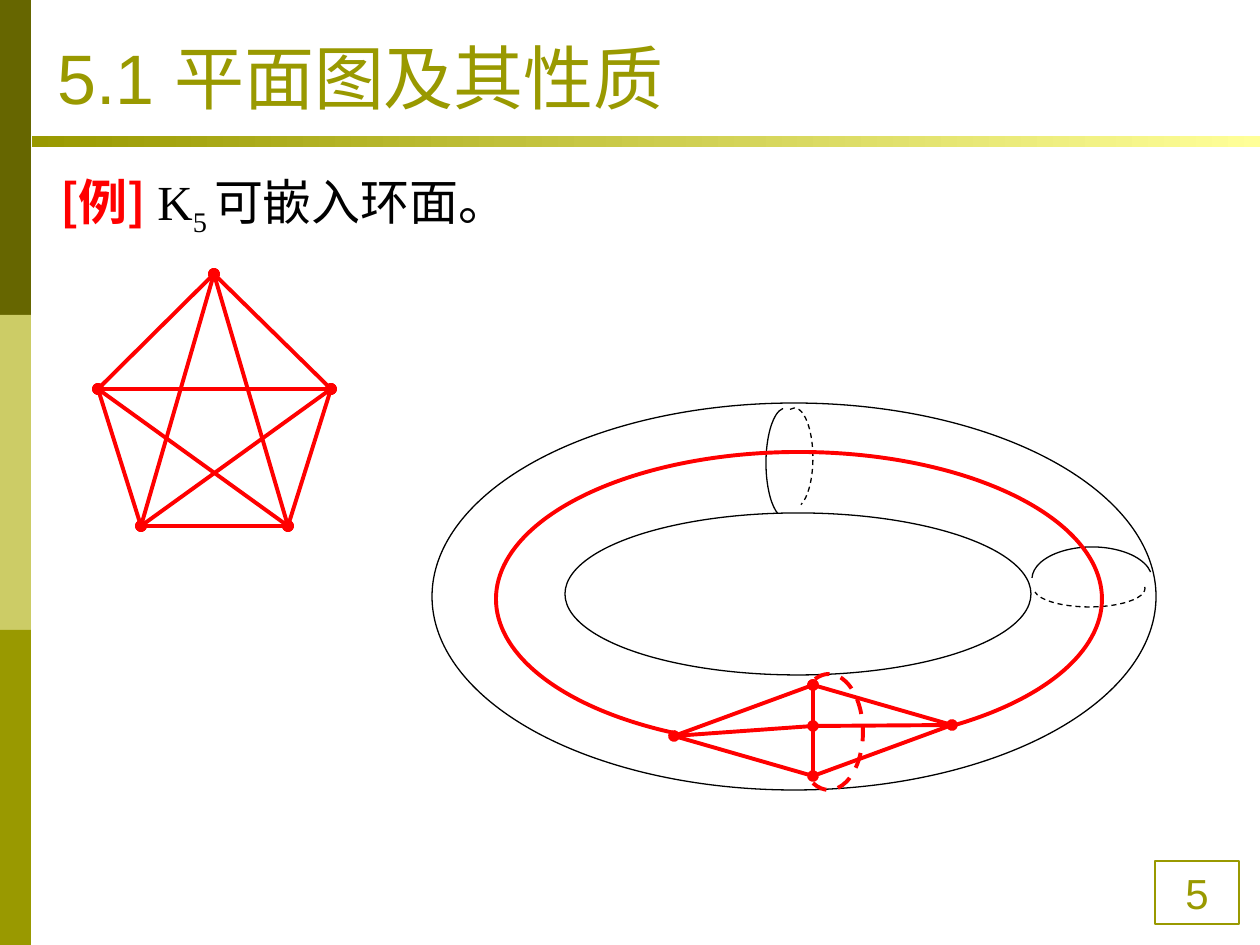
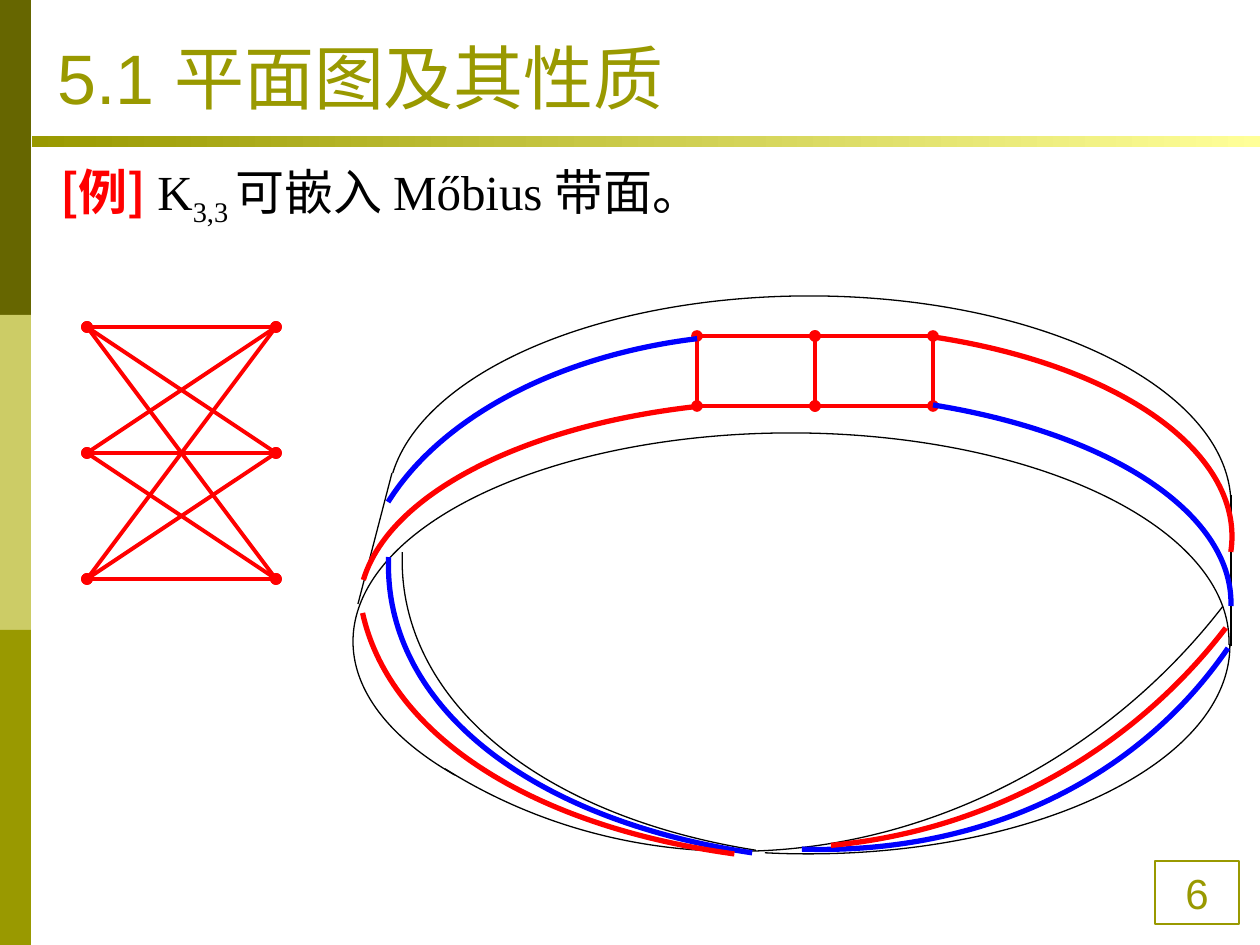
import itertools
import math
from dataclasses import dataclass

import lxml.etree
import pptx
import pptx.dml.color
import pptx.enum.dml
import pptx.enum.shapes
import pptx.enum.text
import pptx.oxml.ns
import pptx.util

SCALE = 914400 / 126  # EMU in one px
ANGLE_UNIT = 0.6  # adjustment value of one degree
SHAPES = pptx.enum.shapes.MSO_SHAPE


@dataclass(frozen=True)
class Theme:
    olive: str = "999900"
    dark_olive: str = "666600"
    light_olive: str = "CCCC66"
    pale_yellow: str = "FFFF99"
    red: str = "FF0000"
    blue: str = "0000FF"
    black: str = "000000"
    white: str = "FFFFFF"
    title_size: int = 40
    body_size: int = 28
    number_size: int = 24
    sans: str = "Arial"
    serif: str = "Times New Roman"
    chinese: str = "Noto Sans CJK SC"
    thin: float = 0.75
    edge: float = 2.25
    thick: float = 3


THEME = Theme()


def px(length):
    return pptx.util.Emu(round(length * SCALE))


def rgb(color):
    return pptx.dml.color.RGBColor.from_string(color)


def format_run(run, size, color, font, bold=False):
    """Set size, colour and the Latin and East Asian typefaces of a run."""
    run.font.size = pptx.util.Pt(size)
    run.font.bold = bold
    run.font.color.rgb = rgb(color)
    run.font.name = font
    latin = run.font._element.find(pptx.oxml.ns.qn("a:latin"))
    east_asian = lxml.etree.Element(pptx.oxml.ns.qn("a:ea"), typeface=THEME.chinese)
    latin.addnext(east_asian)


def style_line(line, color, width, dashed=False):
    line.color.rgb = rgb(color)
    line.width = pptx.util.Pt(width)
    if dashed:
        line.dash_style = pptx.enum.dml.MSO_LINE.DASH


def add_preset(slide, kind, box, fill=None, outline=None):
    shape = slide.shapes.add_shape(kind, *map(px, box))
    shape.shadow.inherit = False
    if fill:
        shape.fill.solid()
        shape.fill.fore_color.rgb = rgb(fill)
    else:
        shape.fill.background()
    if outline:
        style_line(shape.line, outline, THEME.thin)
    else:
        shape.line.fill.background()
    return shape


def add_line(slide, start, end, color=THEME.red, width=THEME.edge, dots=True):
    """Draw a straight line, with round vertices at both ends if dots is set."""
    connector = slide.shapes.add_connector(
        pptx.enum.shapes.MSO_CONNECTOR.STRAIGHT, *map(px, (*start, *end)))
    style_line(connector.line, color, width)
    if dots:
        line_element = connector.line._get_or_add_ln()
        for tag in ("a:headEnd", "a:tailEnd"):
            lxml.etree.SubElement(line_element, pptx.oxml.ns.qn(tag), type="oval")
    lxml.etree.SubElement(connector._element.spPr, pptx.oxml.ns.qn("a:effectLst"))


def add_arc(slide, box, start, end, rotation=0,
            color=THEME.black, width=THEME.thin, dashed=False):
    """Draw the part of the ellipse in box that runs clockwise from start to end."""
    left, top, box_width, box_height = box
    arc = add_preset(slide, SHAPES.ARC, box)
    arc.rotation = rotation
    for index, (x, y) in enumerate((start, end)):
        direction = math.atan2(y - top - box_height / 2, x - left - box_width / 2)
        angle = (math.degrees(direction) - rotation + 180) % 360 - 180
        arc.adjustments[index] = angle % 360 * ANGLE_UNIT
    style_line(arc.line, color, width, dashed)


def add_bands(slide):
    for row, color in enumerate((THEME.dark_olive, THEME.light_olive, THEME.olive)):
        add_preset(slide, SHAPES.RECTANGLE, (0, 315 * row, 31, 315), color)
    rule = add_preset(slide, SHAPES.RECTANGLE, (32, 136, 1228, 11))
    rule.fill.gradient()
    rule.fill.gradient_angle = 0
    for stop, color in zip(rule.fill.gradient_stops, (THEME.olive, THEME.pale_yellow)):
        stop.color.rgb = rgb(color)


def add_slide_number(slide, number):
    box = add_preset(slide, SHAPES.RECTANGLE, (1155, 861, 84, 63), outline=THEME.olive)
    box.text_frame.text = str(number)
    box.text_frame.vertical_anchor = pptx.enum.text.MSO_ANCHOR.MIDDLE
    paragraph = box.text_frame.paragraphs[0]
    paragraph.alignment = pptx.enum.text.PP_ALIGN.CENTER
    format_run(paragraph.runs[0], THEME.number_size, THEME.olive, THEME.sans)


def add_title(slide, text):
    title = slide.shapes.title
    title.left, title.top, title.width, title.height = map(px, (45, 17, 1134, 108))
    title.text_frame.text = text
    title.text_frame.vertical_anchor = pptx.enum.text.MSO_ANCHOR.BOTTOM
    paragraph = title.text_frame.paragraphs[0]
    paragraph.alignment = pptx.enum.text.PP_ALIGN.LEFT
    format_run(paragraph.runs[0], THEME.title_size, THEME.olive, THEME.sans)


def add_example(slide, top, subscript, statement):
    """Write the example line: a red label, K with its subscript, the statement."""
    box = slide.shapes.add_textbox(*map(px, (48, top, 1181, 79)))
    box.text_frame.word_wrap = True
    paragraph = box.text_frame.paragraphs[0]
    for text in ("[例] ", "K", subscript + " ", statement):
        paragraph.add_run().text = text
    label, *formula = paragraph.runs
    format_run(label, THEME.body_size, THEME.red, THEME.chinese, bold=True)
    for run in formula:
        format_run(run, THEME.body_size, THEME.black, THEME.serif)
    formula[1].font._element.set("baseline", "-25000")


def add_base_slide(presentation, number):
    slide = presentation.slides.add_slide(presentation.slide_layouts[5])
    add_bands(slide)
    add_slide_number(slide, number)
    add_title(slide, "5.1 平面图及其性质")
    return slide


def draw_complete_graph(slide):
    vertices = ((214, 274), (98, 389), (141, 526), (288, 526), (331, 389))
    for start, end in itertools.combinations(vertices, 2):
        add_line(slide, start, end)


def draw_torus(slide):
    add_preset(slide, SHAPES.OVAL, (432, 403, 724, 387), THEME.white, THEME.black)
    add_arc(slide, (766, 408, 39, 110), (793, 513), (783, 408))
    add_arc(slide, (776, 408, 37, 100), (790, 408), (801, 504), dashed=True)
    add_preset(slide, SHAPES.OVAL, (565, 513, 466, 162), THEME.white, THEME.black)
    add_arc(slide, (1032, 547, 120, 64), (1032, 578), (1151, 572))
    add_arc(slide, (1034, 570, 111, 37), (1146, 587), (1037, 592), dashed=True)


def draw_graph_on_torus(slide):
    left, right, center = (674, 736), (952, 725), (813, 726)
    top, bottom = (813, 685), (813, 776)
    for start, end in ((right, bottom), (top, left), (center, top)):
        add_line(slide, start, end)
    for start, end in ((top, right), (left, bottom), (left, center),
                       (center, right), (center, bottom)):
        add_line(slide, start, end, dots=False)
    add_arc(slide, (496, 452, 606, 294), (672, 733), (952, 725),
            color=THEME.red, width=THEME.edge)
    add_arc(slide, (795, 674, 68, 116), (815, 679), (813, 783),
            color=THEME.red, width=THEME.edge, dashed=True)


def draw_bipartite_graph(slide):
    rows = (327, 453, 579)
    for left_row, right_row in itertools.product(rows, rows):
        add_line(slide, (87, left_row), (276, right_row))


def draw_mobius_band(slide):
    add_arc(slide, (388, 296, 843, 417), (393, 473), (1231, 505))
    add_arc(slide, (353, 433, 876, 417), (453, 776), (1228, 645))
    for start, end in (((392, 473), (358, 604)), ((1231, 495), (1231, 646))):
        add_line(slide, start, end, THEME.black, THEME.thin, dots=False)
    add_arc(slide, (387, 437, 843, 417), (1231, 644), (765, 853))
    add_arc(slide, (397, 144, 1187, 708), (756, 850), (403, 552), 170.6)
    add_arc(slide, (212, -338, 1126, 1206), (1224, 607), (445, 769), 40.6)


def draw_graph_on_band(slide):
    columns, rows = (697, 815, 933), (336, 406)
    for row in reversed(rows):
        for start, end in itertools.pairwise(columns):
            add_line(slide, (start, row), (end, row))
    for column in columns:
        add_line(slide, (column, rows[0]), (column, rows[1]), dots=False)
    long_edges = (
        (THEME.blue, (358, 334, 833, 536), (388, 502), (697, 338), 0),
        (THEME.blue, (73, -262, 1280, 1063), (1228, 648), (802, 849), 40.6),
        (THEME.blue, (355, 394, 876, 418), (933, 405), (1230, 606), 0),
        (THEME.red, (389, 328, 843, 417), (933, 336), (1231, 552), 0),
        (THEME.red, (219, -276, 1123, 1124), (1226, 628), (831, 845), 40.6),
        (THEME.blue, (383, 145, 1226, 708), (752, 853), (389, 557), 170.6),
        (THEME.red, (352, 144, 1284, 708), (735, 853), (362, 613), 170.6),
        (THEME.red, (359, 401, 876, 417), (363, 580), (697, 406), 0),
    )
    for color, box, start, end, rotation in long_edges:
        add_arc(slide, box, start, end, rotation, color, THEME.thick)


def main():
    presentation = pptx.Presentation()
    presentation.slide_width, presentation.slide_height = px(1260), px(945)

    torus_slide = add_base_slide(presentation, 5)
    add_example(torus_slide, 165, "5", "可嵌入环面。")
    draw_torus(torus_slide)
    draw_graph_on_torus(torus_slide)
    draw_complete_graph(torus_slide)

    mobius_slide = add_base_slide(presentation, 6)
    add_example(mobius_slide, 155, "3,3", "可嵌入 Mőbius 带面。")
    draw_mobius_band(mobius_slide)
    draw_graph_on_band(mobius_slide)
    draw_bipartite_graph(mobius_slide)

    presentation.save("out.pptx")


if __name__ == "__main__":
    main()
